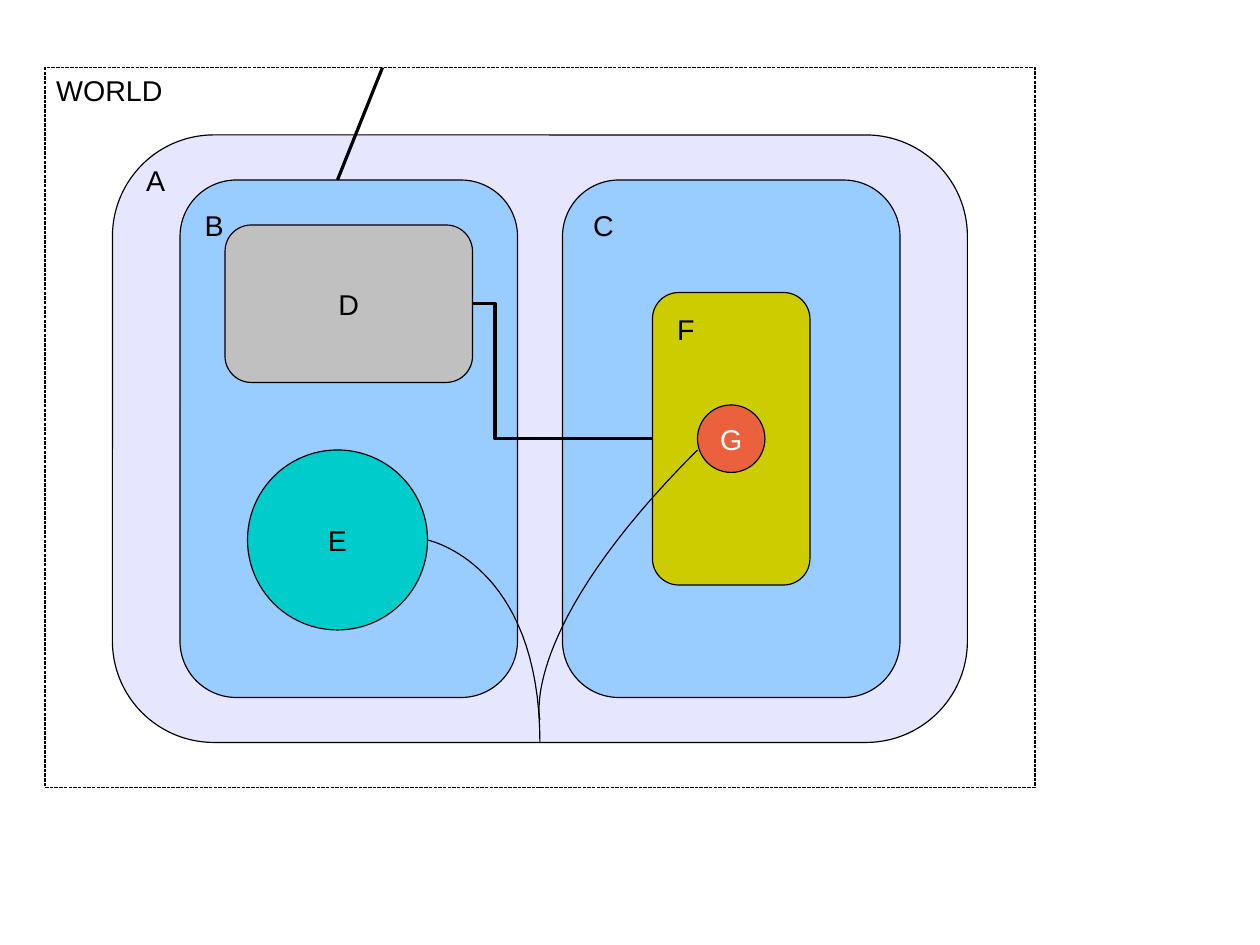
import dataclasses
import typing

import lxml.etree
import pptx
import pptx.dml.color
import pptx.enum.dml
import pptx.enum.shapes
import pptx.enum.text
import pptx.oxml.ns
import pptx.util

GRID = 28.35  # points per grid unit; all places below are in grid units
FONT_SIZE = 18
CORNER = 0.167
CURVE_STEPS = 32
COLOURS = {
    "black": "000000",
    "white": "FFFFFF",
    "lavender": "E6E6FF",
    "sky": "99CCFF",
    "grey": "C0C0C0",
    "teal": "00CCCC",
    "olive": "CCCC00",
    "orange": "EB613D",
}
PRESETS = pptx.enum.shapes.MSO_SHAPE
CONNECTORS = pptx.enum.shapes.MSO_CONNECTOR
Point = tuple[float, float]


@dataclasses.dataclass
class Region:
    preset: typing.Any
    left: float
    top: float
    width: float
    height: float
    fill: str = ""
    text: str = ""
    text_colour: str = "black"


@dataclasses.dataclass
class Label:
    text: str
    left: float
    top: float
    width: float
    wrap: bool = False


@dataclasses.dataclass
class Link:
    kind: typing.Any
    start: Point
    end: Point
    bend: float = 0


@dataclasses.dataclass
class Curve:
    start: Point
    control: Point
    end: Point


REGIONS = [
    Region(PRESETS.RECTANGLE, 1, 1.5, 22, 16),
    Region(PRESETS.ROUNDED_RECTANGLE, 2.5, 3, 19, 13.5, "lavender"),
    Region(PRESETS.ROUNDED_RECTANGLE, 4, 4, 7.5, 11.5, "sky"),
    Region(PRESETS.ROUNDED_RECTANGLE, 12.5, 4, 7.5, 11.5, "sky"),
    Region(PRESETS.ROUNDED_RECTANGLE, 5, 5, 5.5, 3.5, "grey", "D"),
    Region(PRESETS.OVAL, 5.5, 10, 4, 4, "teal", "E"),
    Region(PRESETS.ROUNDED_RECTANGLE, 14.5, 6.5, 3.5, 6.5, "olive"),
    Region(PRESETS.OVAL, 15.5, 9, 1.5, 1.5, "orange", "G", "white"),
]
LABELS = [
    Label("A", 3, 3.5, 1, True),
    Label("B", 4.3, 4.5, 0.92),
    Label("C", 12.93, 4.5, 0.96),
    Label("F", 14.8, 6.8, 0.89),
    Label("WORLD", 1, 1.5, 3.5, True),
]
LINKS = [
    Link(CONNECTORS.STRAIGHT, (7.5, 4), (8.5, 1.5)),
    Link(CONNECTORS.ELBOW, (10.5, 6.75), (14.5, 9.75), 0.125),
]
CURVES = [
    Curve((12, 16.5), (12, 12.5), (9.5, 12)),
    Curve((15.5, 10), (11.5, 14), (12, 16)),
]


def units(*values: float) -> list[pptx.util.Length]:
    """Turn grid units into lengths."""
    return [pptx.util.Pt(value * GRID) for value in values]


def colour(name: str) -> pptx.dml.color.RGBColor:
    return pptx.dml.color.RGBColor.from_string(COLOURS[name])


def set_hairline(shape: typing.Any) -> None:
    shape.line.color.rgb = colour("black")
    shape.line.width = pptx.util.Pt(0)


def write_text(frame: typing.Any, text: str, text_colour: str = "black") -> None:
    frame.text = text
    font = frame.paragraphs[0].runs[0].font
    font.name = "Arial"
    font.size = pptx.util.Pt(FONT_SIZE)
    font.color.rgb = colour(text_colour)


def draw_region(slide: typing.Any, region: Region) -> None:
    shape = slide.shapes.add_shape(
        region.preset, *units(region.left, region.top, region.width, region.height)
    )
    shape.shadow.inherit = False
    set_hairline(shape)
    if region.preset == PRESETS.ROUNDED_RECTANGLE:
        shape.adjustments[0] = CORNER
    if region.fill:
        shape.fill.solid()
        shape.fill.fore_color.rgb = colour(region.fill)
    else:
        shape.fill.background()
        shape.line.dash_style = pptx.enum.dml.MSO_LINE.SQUARE_DOT
    if region.text:
        write_text(shape.text_frame, region.text, region.text_colour)
        shape.text_frame.vertical_anchor = pptx.enum.text.MSO_ANCHOR.MIDDLE
        shape.text_frame.paragraphs[0].alignment = pptx.enum.text.PP_ALIGN.CENTER


def draw_label(slide: typing.Any, label: Label) -> None:
    box = slide.shapes.add_textbox(*units(label.left, label.top, label.width, 0.97))
    box.text_frame.word_wrap = label.wrap
    box.text_frame.auto_size = pptx.enum.text.MSO_AUTO_SIZE.SHAPE_TO_FIT_TEXT
    write_text(box.text_frame, label.text)


def draw_link(slide: typing.Any, link: Link) -> None:
    connector = slide.shapes.add_connector(link.kind, *units(*link.start, *link.end))
    set_hairline(connector)
    properties = connector._element.spPr
    lxml.etree.SubElement(properties, pptx.oxml.ns.qn("a:effectLst"))
    if link.bend:
        adjustments = properties.find(".//" + pptx.oxml.ns.qn("a:avLst"))
        guide = lxml.etree.SubElement(adjustments, pptx.oxml.ns.qn("a:gd"))
        guide.set("name", "adj1")
        guide.set("fmla", f"val {round(link.bend * 100000)}")


def curve_point(curve: Curve, t: float) -> Point:
    """Point on a cubic Bezier whose second control lies on its end."""
    start_weight = (1 - t) ** 3
    control_weight = 3 * t * (1 - t) ** 2
    end_weight = 1 - start_weight - control_weight
    x, y = (
        start_weight * start + control_weight * control + end_weight * end
        for start, control, end in zip(curve.start, curve.control, curve.end)
    )
    return x, y


def draw_curve(slide: typing.Any, curve: Curve) -> None:
    points = [
        tuple(units(*curve_point(curve, step / CURVE_STEPS)))
        for step in range(CURVE_STEPS + 1)
    ]
    builder = slide.shapes.build_freeform(*points[0])
    builder.add_line_segments(points[1:], close=False)
    shape = builder.convert_to_shape()
    shape.shadow.inherit = False
    shape.fill.background()
    set_hairline(shape)


def main() -> None:
    deck = pptx.Presentation()
    deck.slide_width, deck.slide_height = units(28, 21)
    slide = deck.slides.add_slide(deck.slide_layouts[6])
    for region in REGIONS:
        draw_region(slide, region)
    for label in LABELS:
        draw_label(slide, label)
    for link in LINKS:
        draw_link(slide, link)
    for curve in CURVES:
        draw_curve(slide, curve)
    deck.save("out.pptx")


if __name__ == "__main__":
    main()
